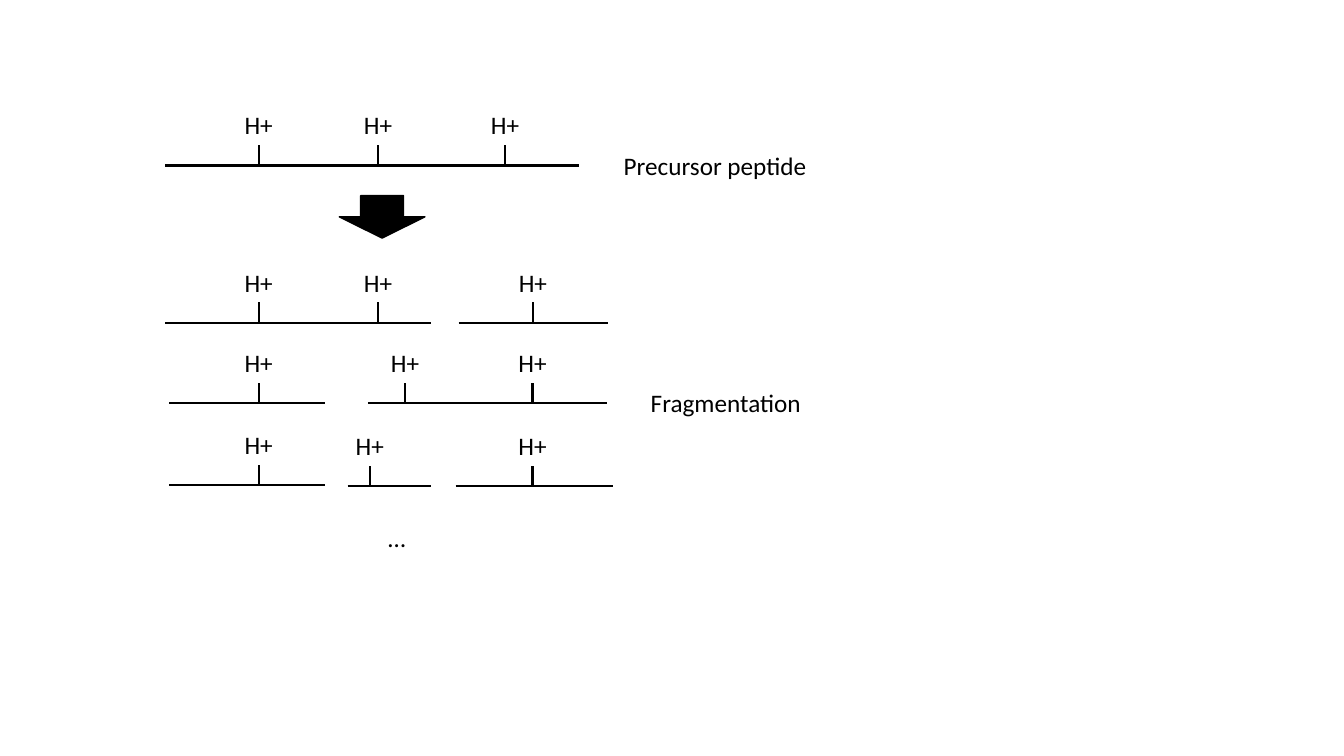
from lxml.etree import SubElement
from pptx import Presentation
from pptx.dml.color import RGBColor
from pptx.enum.shapes import MSO_CONNECTOR as Connector, MSO_SHAPE as Shape
from pptx.enum.text import MSO_AUTO_SIZE as AutoSize, PP_ALIGN as Align
from pptx.oxml.ns import qn
from pptx.util import Cm, Pt

COLORS = {"ink": "000000", "paper": "FFFFFF"}
TICK_HEIGHT = 0.51
LABEL_WIDTH, LABEL_HEIGHT = 1.24, 1.02

PRECURSOR = [(4.17, 14.6, 4.17, [6.52, 9.53, 12.73])]
FRAGMENTS = [
    (4.17, 10.87, 8.13, [6.52, 9.53]),
    (11.56, 15.32, 8.13, [13.43]),
    (4.27, 8.2, 10.16, [6.52]),
    (9.27, 15.29, 10.16, [10.21, 13.42]),
    (4.27, 8.2, 12.22, [6.52]),
    (8.76, 10.85, 12.24, [9.32]),
    (11.48, 15.44, 12.24, [13.42]),
]


def color(name):
    return RGBColor.from_string(COLORS[name])


def write_text(frame, text, font="Calibri", size=18, ink="ink", align=Align.LEFT):
    paragraph = frame.paragraphs[0]
    paragraph.alignment = align
    run = paragraph.add_run()
    run.text = text
    run.font.name = font
    run.font.size = Pt(size)
    run.font.color.rgb = color(ink)


class PeptideSlide:
    line_width = Pt(1.5)

    def __init__(self, slide):
        self.slide = slide
        self.shapes = slide.shapes
        fill = slide.background.fill
        fill.solid()
        fill.fore_color.rgb = color("paper")

    def start_group(self):
        self.shapes = self.slide.shapes.add_group_shape().shapes

    def end_group(self):
        self.shapes = self.slide.shapes

    def line(self, x1, y1, x2, y2):
        connector = self.shapes.add_connector(
            Connector.STRAIGHT, Cm(x1), Cm(y1), Cm(x2), Cm(y2))
        connector.line.color.rgb = color("ink")
        connector.line.width = self.line_width
        SubElement(connector._element.spPr, qn("a:effectLst"))

    def text(self, text, left, top, width, height=LABEL_HEIGHT, **style):
        box = self.shapes.add_textbox(Cm(left), Cm(top), Cm(width), Cm(height))
        box.text_frame.word_wrap = False
        box.text_frame.auto_size = AutoSize.SHAPE_TO_FIT_TEXT
        write_text(box.text_frame, text, **style)

    def arrow(self, left, top, width, height):
        shape = self.shapes.add_shape(
            Shape.DOWN_ARROW, Cm(left), Cm(top), Cm(width), Cm(height))
        shape.shadow.inherit = False
        shape.fill.solid()
        shape.fill.fore_color.rgb = color("ink")
        shape.line.color.rgb = color("ink")
        shape.line.width = Pt(1)

    def peptide(self, start, end, y, charges):
        self.line(start, y, end, y)
        tick_top = y - TICK_HEIGHT
        for x in charges:
            self.line(x, y, x, tick_top)
            self.text("H+", x - LABEL_WIDTH / 2, tick_top - LABEL_HEIGHT,
                      LABEL_WIDTH, align=Align.CENTER)


presentation = Presentation()
presentation.slide_width = Cm(33.87)
presentation.slide_height = Cm(19.05)
page = PeptideSlide(presentation.slides.add_slide(presentation.slide_layouts[6]))

page.start_group()
for peptide in PRECURSOR:
    page.peptide(*peptide)
page.text("Precursor peptide", 15.47, 3.66, 5.18)

page.start_group()
for peptide in FRAGMENTS:
    page.peptide(*peptide)
page.text("Fragmentation", 16.15, 9.63, 4.5)
page.text("…", 9.53, 13.03, 0.97)

page.end_group()
page.arrow(8.55, 4.93, 2.16, 1.07)

presentation.save("out.pptx")
